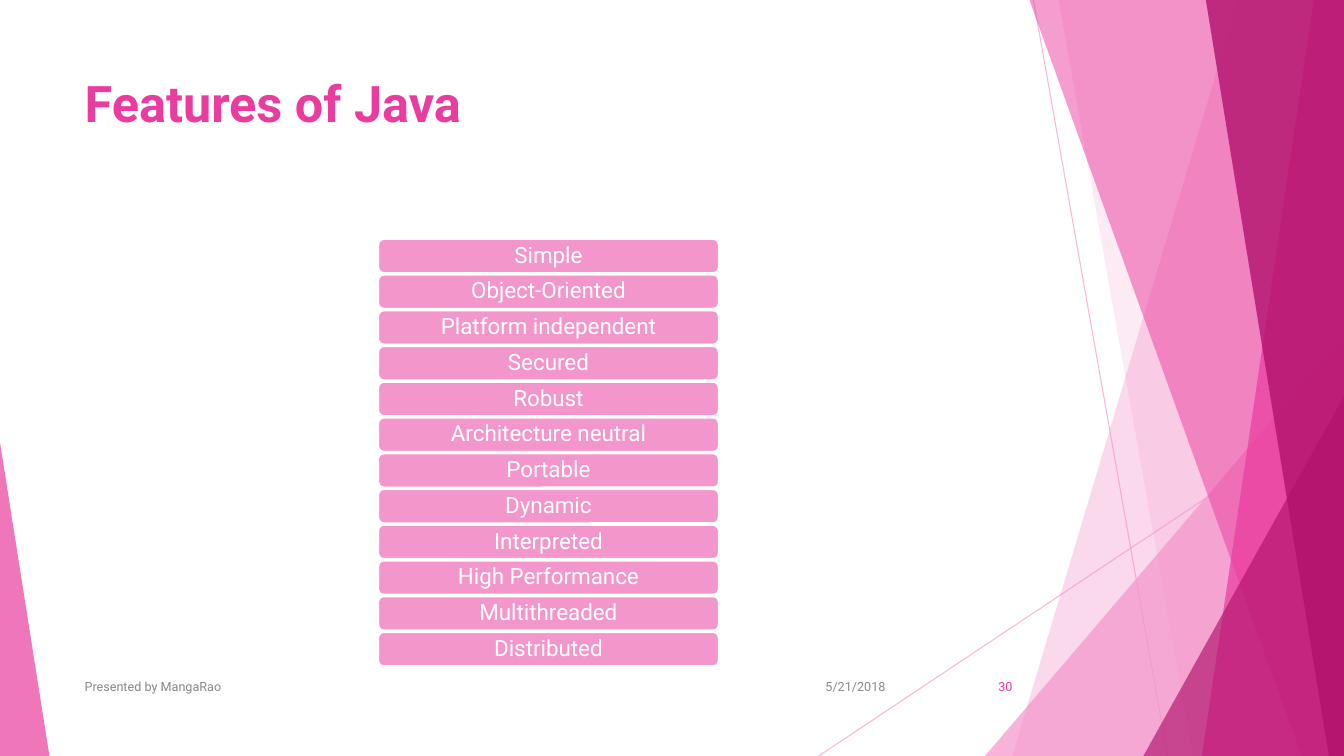
from dataclasses import dataclass

from lxml.etree import SubElement
from pptx import Presentation
from pptx.dml.color import RGBColor
from pptx.enum.shapes import MSO_CONNECTOR, MSO_SHAPE
from pptx.enum.text import MSO_ANCHOR, PP_ALIGN
from pptx.oxml.ns import qn
from pptx.util import Inches, Pt


@dataclass(frozen=True)
class Theme:
    """Colours, font and type sizes of the deck."""
    font: str = "Roboto"
    white: str = "FFFFFF"
    grey: str = "888888"
    pale: str = "F496CB"
    pill: str = "F396CB"
    pink: str = "EA3C9E"
    deep: str = "B2126C"
    title_size: int = 36
    pill_size: int = 16
    footer_size: int = 9


@dataclass(frozen=True)
class Box:
    """A region of the page in inches."""
    left: float
    top: float
    width: float
    height: float

    def lengths(self):
        """Return the region as slide lengths."""
        return [Inches(v) for v in (self.left, self.top, self.width, self.height)]


THEME = Theme()
FEATURES = [
    "Simple", "Object-Oriented", "Platform independent", "Secured",
    "Robust", "Architecture neutral", "Portable", "Dynamic",
    "Interpreted", "High Performance", "Multithreaded", "Distributed",
]


def add_alpha(element, percent):
    """Make the solid colour inside an element partly transparent."""
    colour = element.find(".//" + qn("a:srgbClr"))
    SubElement(colour, qn("a:alpha"), val=str(percent * 1000))


def paint(shape, colour, alpha):
    """Fill a shape with a translucent colour and no outline."""
    shape.shadow.inherit = False
    shape.fill.solid()
    shape.fill.fore_color.rgb = RGBColor.from_string(colour)
    shape.line.fill.background()
    add_alpha(shape.fill._xPr.find(qn("a:solidFill")), alpha)


def write(shape, text, size, colour, align, anchor, margins, bold=False):
    """Set one formatted paragraph in a shape."""
    frame = shape.text_frame
    frame.word_wrap = True
    frame.vertical_anchor = anchor
    frame.margin_left = frame.margin_right = Inches(margins[0])
    frame.margin_top = frame.margin_bottom = Inches(margins[1])
    frame.text = text
    para = frame.paragraphs[0]
    para.alignment = align
    span = para.runs[0]
    span.font.name = THEME.font
    span.font.size = Pt(size)
    span.font.bold = bold
    span.font.color.rgb = RGBColor.from_string(colour)
    return para


def add_ray(page, box, start, end):
    """Draw a thin translucent line between two points of the box."""
    ends = [Inches(v) for x, y in (start, end) for v in (box.left + x, box.top + y)]
    ray = page.shapes.add_connector(MSO_CONNECTOR.STRAIGHT, *ends)
    ray.line.width = Pt(0.75)
    ray.line.color.rgb = RGBColor.from_string(THEME.pale)
    properties = ray._element.spPr
    add_alpha(properties.find(qn("a:ln")), 70)
    SubElement(properties, qn("a:effectLst"))


def add_panel(page, box, top_left, bottom_left, colour, alpha):
    """Draw a full-height panel from a slanted left edge to the box's right."""
    right, bottom = box.left + box.width, box.top + box.height
    corners = [
        (box.left + top_left, box.top), (right, box.top),
        (right, bottom), (box.left + bottom_left, bottom),
    ]
    points = [(Inches(x), Inches(y)) for x, y in corners]
    builder = page.shapes.build_freeform(*points[0], scale=1.0)
    builder.add_line_segments(points[1:], close=True)
    paint(builder.convert_to_shape(), colour, alpha)


def add_corner(page, box, apex, colour, alpha):
    """Draw a triangle that fills the box, with its apex at a share of the width."""
    corner = page.shapes.add_shape(MSO_SHAPE.ISOSCELES_TRIANGLE, *box.lengths())
    corner.adjustments[0] = apex
    paint(corner, colour, alpha)


def add_facets(page, box):
    """Draw the overlapping facets along both sides of the box."""
    right, bottom = box.left + box.width, box.top + box.height

    def right_corner(width, height, colour, alpha):
        """Draw a triangle in the lower right corner."""
        area = Box(right - width, bottom - height, width, height)
        add_corner(page, area, 1, colour, alpha)

    add_ray(page, box, (10.25, 0), (11.58, box.height))
    add_ray(page, box, (box.width, 4.03), (8.12, box.height))
    add_panel(page, box, 12.28, 10.04, THEME.pale, 36)
    add_panel(page, box, 10.5, 11.83, THEME.pale, 20)
    right_corner(3.56, 4.17, THEME.pale, 72)
    add_panel(page, box, 10.21, 12.91, THEME.pink, 50)
    add_panel(page, box, 13.03, 11.92, THEME.pink, 70)
    add_panel(page, box, 11.96, 13.18, THEME.deep, 80)
    right_corner(1.99, 3.57, THEME.deep, 66)
    add_corner(page, Box(box.left, bottom - 3.11, 0.49, 3.11), 0, THEME.pink, 70)


def add_title(page, box, text):
    """Place the title placeholder in the box."""
    title = page.shapes.title
    title.left, title.top, title.width, title.height = box.lengths()
    write(title, text, THEME.title_size, THEME.pink, PP_ALIGN.LEFT,
          MSO_ANCHOR.TOP, (0.1, 0.05), bold=True)


def add_feature_stack(page, box, features):
    """Stack one rounded bar per feature evenly down the box."""
    bar_height = 0.34
    pitch = (box.height - bar_height) / (len(features) - 1)
    for index, feature in enumerate(features):
        area = Box(box.left, box.top + index * pitch, box.width, bar_height)
        bar = page.shapes.add_shape(MSO_SHAPE.ROUNDED_RECTANGLE, *area.lengths())
        bar.shadow.inherit = False
        bar.fill.solid()
        bar.fill.fore_color.rgb = RGBColor.from_string(THEME.pill)
        bar.line.color.rgb = RGBColor.from_string(THEME.white)
        bar.line.width = Pt(1.5)
        para = write(bar, feature, THEME.pill_size, THEME.white,
                     PP_ALIGN.CENTER, MSO_ANCHOR.MIDDLE, (0.07, 0.03))
        para.line_spacing = 0.9


def add_footer(page, box):
    """Place presenter, date and page number along the box."""
    entries = [
        (0, 6.89, "Presented by MangaRao", THEME.grey, PP_ALIGN.LEFT),
        (7.14, 1, "5/21/2018", THEME.grey, PP_ALIGN.RIGHT),
        (8.65, 0.75, "30", THEME.pink, PP_ALIGN.RIGHT),
    ]
    for offset, width, text, colour, align in entries:
        area = Box(box.left + offset, box.top, width, box.height)
        entry = page.shapes.add_textbox(*area.lengths())
        write(entry, text, THEME.footer_size, colour, align,
              MSO_ANCHOR.MIDDLE, (0.1, 0.05))


def main():
    """Build the deck and save it."""
    deck = Presentation()
    deck.slide_width, deck.slide_height = Inches(13.33), Inches(7.5)
    page = deck.slides.add_slide(deck.slide_layouts[5])
    add_facets(page, Box(0, 0, 13.33, 7.5))
    add_title(page, Box(0.74, 0.67, 9.4, 1.44), "Features of Java")
    add_feature_stack(page, Box(3.75, 2.37, 3.38, 4.24), FEATURES)
    add_footer(page, Box(0.74, 6.61, 9.4, 0.4))
    deck.save("out.pptx")


if __name__ == "__main__":
    main()
